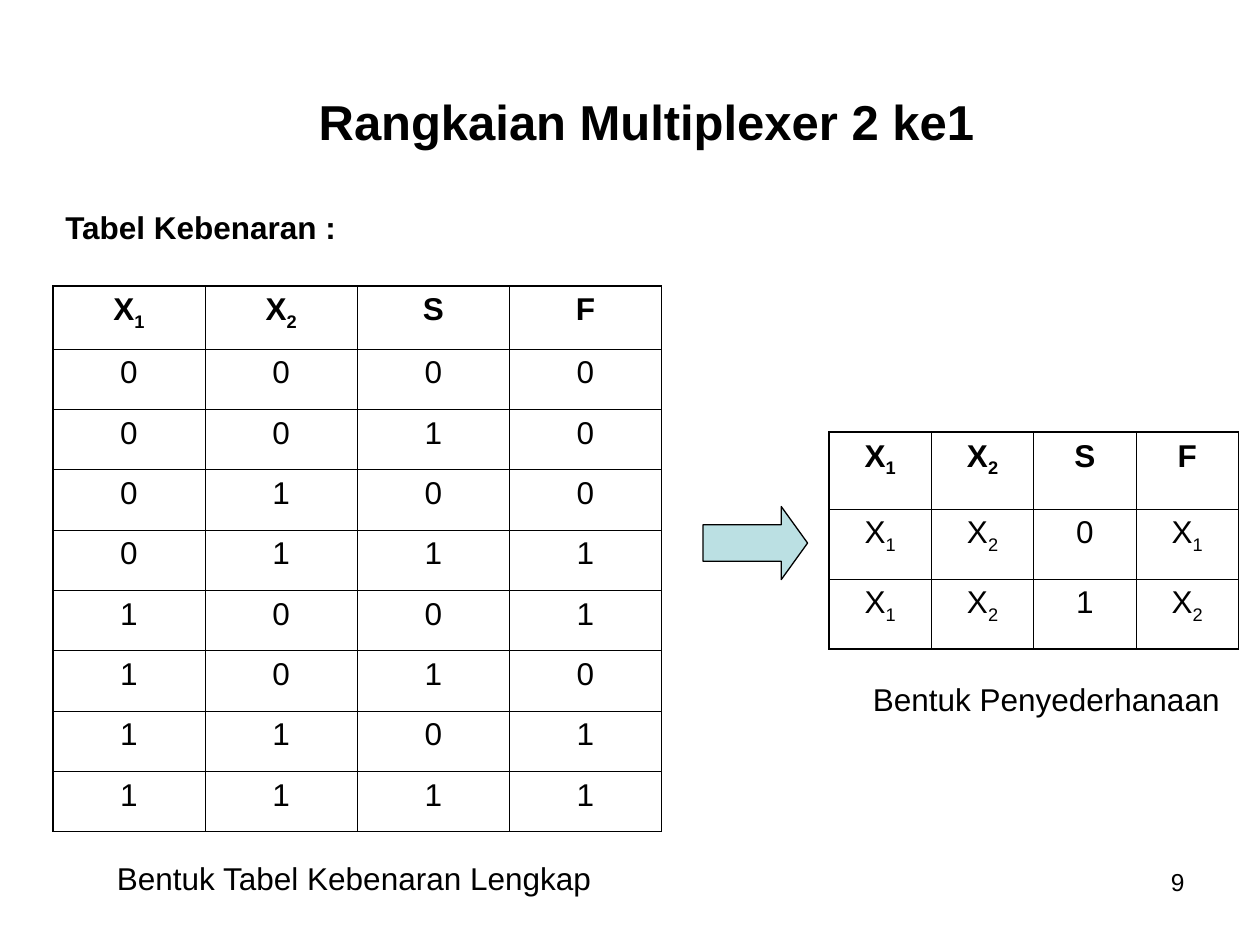
from dataclasses import dataclass

from pptx import Presentation
from pptx import util as u
from pptx.dml.color import RGBColor
from pptx.enum import shapes, text
from pptx.oxml import parse_xml
from pptx.oxml.ns import nsdecls

PX = 9144  # 100 px to the inch


@dataclass(frozen=True)
class Theme:
    font: str = "Arial"
    ink: str = "000000"
    arrow: str = "BBE0E3"
    title: int = 28
    body: int = 18
    page: int = 14
    thin: float = 0.45
    thick: float = 1.08
    edge: float = 0.75


T = Theme()
HEAD = ["X1", "X2", "S", "F"]
FULL = [HEAD, *(list(row) for row in (
    "0000", "0010", "0100", "0111", "1001", "1010", "1101", "1111"))]
SHORT = [HEAD, ["X1", "X2", "0", "X1"], ["X1", "X2", "1", "X2"]]


def px(*vals):
    return [round(v * PX) for v in vals]


def style(font, **fmt):
    fmt = {"name": T.font, "size": T.body, "bold": False, **fmt}
    fmt["size"] = u.Pt(fmt["size"])
    for key, val in fmt.items():
        setattr(font, key, val)
    font.color.rgb = RGBColor.from_string(T.ink)


def write(shape, words, align=text.PP_ALIGN.LEFT, wrap=False, **fmt):
    """Put one line of text into a text box or placeholder."""
    frame = shape.text_frame
    fit = text.MSO_AUTO_SIZE
    form = {
        "word_wrap": wrap,
        "auto_size": fit.NONE if wrap else fit.SHAPE_TO_FIT_TEXT,
        "vertical_anchor": text.MSO_ANCHOR.TOP,
    }
    for key, val in form.items():
        setattr(frame, key, val)
    par = frame.paragraphs[0]
    par.alignment = align
    run = par.add_run()
    run.text = words
    style(run.font, **fmt)


def heading(slide, box):
    title = slide.shapes.title
    title.left, title.top, title.width, title.height = px(*box)
    write(title, "Rangkaian Multiplexer 2 ke1", size=T.title, bold=True,
          align=text.PP_ALIGN.CENTER, wrap=True)


def label(slide, box, words, **fmt):
    write(slide.shapes.add_textbox(*px(*box)), words, **fmt)


def border(cell, sides):
    """Line the cell; sides maps L, R, T and B to widths in points."""
    props = cell._tc.get_or_add_tcPr()
    for side, width in sides.items():
        props.append(parse_xml(
            f'<a:ln{side} {nsdecls("a")} w="{u.Pt(width)}"><a:solidFill>'
            f'<a:srgbClr val="{T.ink}"/></a:solidFill></a:ln{side}>'))


def fill_cell(cell, sign, bold):
    par = cell.text_frame.paragraphs[0]
    par.alignment = text.PP_ALIGN.CENTER
    # A digit after the first letter is an index
    for part, base in ((sign[0], None), (sign[1:], "-25000")):
        if part:
            run = par.add_run()
            run.text = part
            style(run.font, bold=bold)
            if base:
                run._r.get_or_add_rPr().set("baseline", base)


def truth_table(slide, box, rows, head):
    """Draw a truth table whose first row is head px high."""
    high, wide = len(rows), len(rows[0])
    table = slide.shapes.add_table(high, wide, *px(*box)).table
    table.first_row = table.horz_banding = False
    for col in table.columns:
        col.width = px(box[2] / wide)[0]
    rest = (box[3] - head) / (high - 1)
    for r, row in enumerate(rows):
        table.rows[r].height = px(rest if r else head)[0]
        for c, sign in enumerate(row):
            cell = table.cell(r, c)
            fill_cell(cell, sign, bold=r == 0)
            outer = {"L": c == 0, "R": c == wide - 1,
                     "T": r == 0, "B": r == high - 1}
            border(cell, {side: T.thick if out else T.thin
                          for side, out in outer.items()})
            cell.fill.background()


def arrow(slide, box):
    shape = slide.shapes.add_shape(shapes.MSO_SHAPE.RIGHT_ARROW, *px(*box))
    shape.shadow.inherit = False
    shape.adjustments[0], shape.adjustments[1] = 0.5, 0.36
    shape.fill.solid()
    shape.fill.fore_color.rgb = RGBColor.from_string(T.arrow)
    shape.line.color.rgb = RGBColor.from_string(T.ink)
    shape.line.width = u.Pt(T.edge)


def main():
    deck = Presentation()
    deck.slide_width, deck.slide_height = px(1000, 750)
    slide = deck.slides.add_slide(deck.slide_layouts[5])

    # Page number and title
    label(slide, (717, 683, 233, 52), "9", size=T.page,
          align=text.PP_ALIGN.RIGHT, wrap=True)
    heading(slide, (233, 68, 560, 57))

    # Full table on the left
    truth_table(slide, (42, 227, 483, 433), FULL, head=50)
    label(slide, (42, 160, 236, 40), "Tabel Kebenaran :", bold=True)

    # Short table on the right
    truth_table(slide, (658, 343, 325, 172), SHORT, head=61)
    arrow(slide, (558, 402, 83, 58))

    # Captions
    label(slide, (83, 677, 399, 40), "Bentuk Tabel Kebenaran Lengkap")
    label(slide, (683, 535, 295, 40), "Bentuk Penyederhanaan")

    deck.save("out.pptx")


if __name__ == "__main__":
    main()
